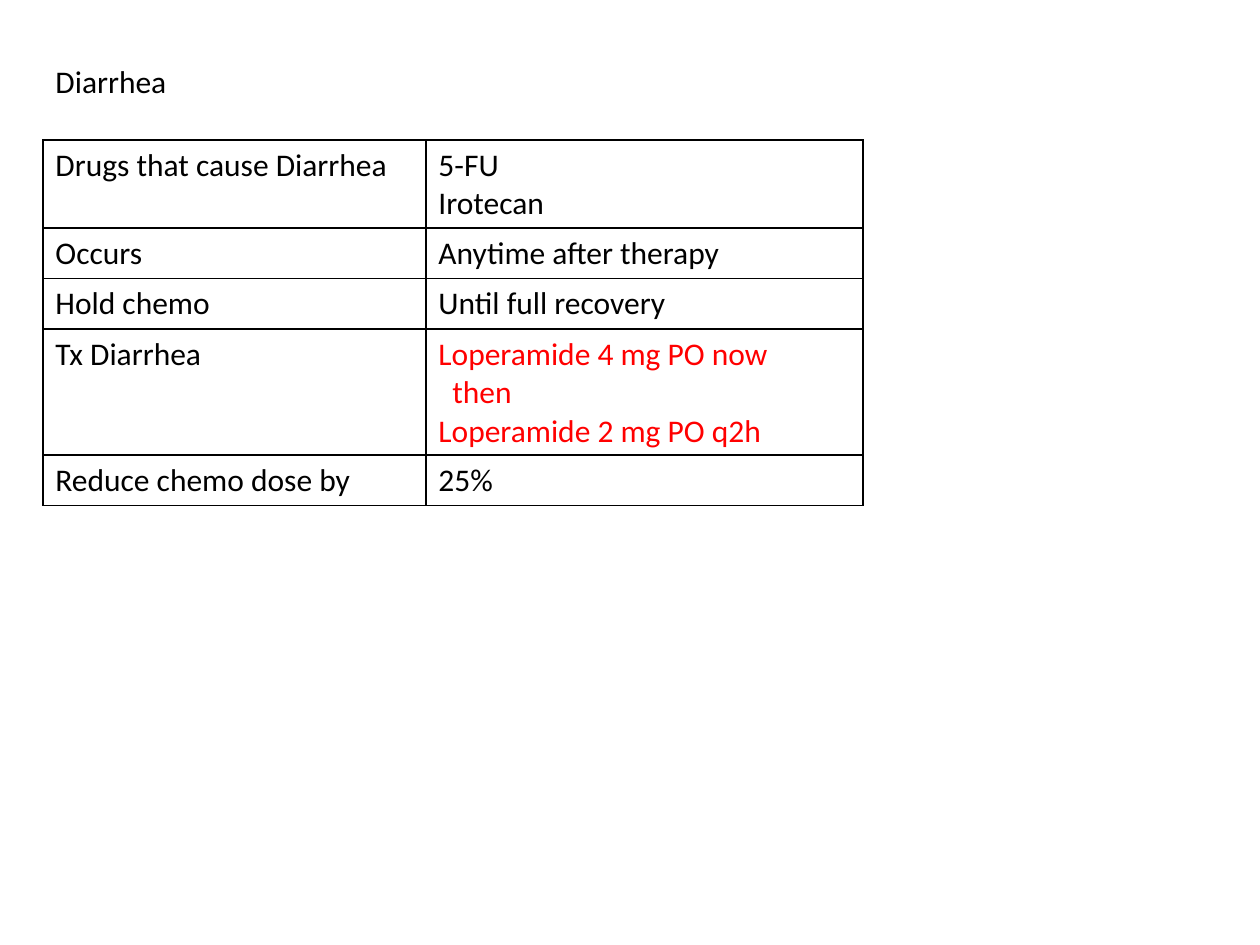
import pptx
import pptx.util
import pptx.dml.color
import pptx.enum.text
import pptx.oxml
import pptx.oxml.ns

WIDTH, HEIGHT = 10, 7.5
LEFT = 0.34
COLUMNS = (3.04, 3.47)
LINE_HEIGHT, ROW_PADDING = 0.3, 0.1
BLACK, RED, WHITE = "000000", "FF0000", "FFFFFF"

CARE_PLAN = (
    (("Drugs that cause Diarrhea",), ("5-FU", "Irotecan"), BLACK),
    (("Occurs",), ("Anytime after therapy",), BLACK),
    (("Hold chemo",), ("Until full recovery",), BLACK),
    (("Tx Diarrhea",),
     ("Loperamide 4 mg PO now", "then", "Loperamide 2 mg PO q2h"), RED),
    (("Reduce chemo dose by",), ("25%",), BLACK),
)


def inches(value):
    return pptx.util.Inches(value)


def color(value):
    return pptx.dml.color.RGBColor.from_string(value)


def write_lines(frame, lines, ink):
    frame.text = "\n".join(lines)
    for paragraph in frame.paragraphs:
        paragraph.alignment = pptx.enum.text.PP_ALIGN.LEFT
        paragraph.font.name = "Calibri"
        paragraph.font.size = pptx.util.Pt(18)
        paragraph.font.bold = False
        paragraph.font.color.rgb = color(ink)
        if paragraph.text == "then":
            paragraph._p.get_or_add_pPr().set("marL", str(inches(0.11)))


def add_borders(cell):
    properties = cell._tc.get_or_add_tcPr()
    for index, side in enumerate(("lnL", "lnR", "lnT", "lnB")):
        properties.insert(index, pptx.oxml.parse_xml(
            f'<a:{side} {pptx.oxml.ns.nsdecls("a")} w="{pptx.util.Pt(1)}">'
            f'<a:solidFill><a:srgbClr val="{BLACK}"/></a:solidFill></a:{side}>'))


def add_title(slide, text):
    title = slide.shapes.title
    title.left, title.top = inches(LEFT), inches(0.44)
    title.width, title.height = inches(1.09), inches(0.4)
    frame = title.text_frame
    write_lines(frame, (text,), BLACK)
    frame.word_wrap = False
    frame.auto_size = pptx.enum.text.MSO_AUTO_SIZE.SHAPE_TO_FIT_TEXT
    frame.vertical_anchor = pptx.enum.text.MSO_ANCHOR.TOP


def add_care_table(slide, plan):
    heights = [ROW_PADDING + LINE_HEIGHT * len(answer) for _, answer, _ in plan]
    table = slide.shapes.add_table(
        len(plan), len(COLUMNS), inches(LEFT), inches(1.11),
        inches(sum(COLUMNS)), inches(sum(heights))).table
    table.first_row = table.horz_banding = False
    for column, width in zip(table.columns, COLUMNS):
        column.width = inches(width)
    for row, height, (topic, answer, ink) in zip(table.rows, heights, plan):
        row.height = inches(height)
        for cell, lines, shade in zip(row.cells, (topic, answer), (BLACK, ink)):
            write_lines(cell.text_frame, lines, shade)
            cell.fill.solid()
            cell.fill.fore_color.rgb = color(WHITE)
            add_borders(cell)


def main():
    deck = pptx.Presentation()
    deck.slide_width, deck.slide_height = inches(WIDTH), inches(HEIGHT)
    slide = deck.slides.add_slide(deck.slide_layouts.get_by_name("Title Only"))
    add_title(slide, "Diarrhea")
    add_care_table(slide, CARE_PLAN)
    deck.save("out.pptx")


main()
